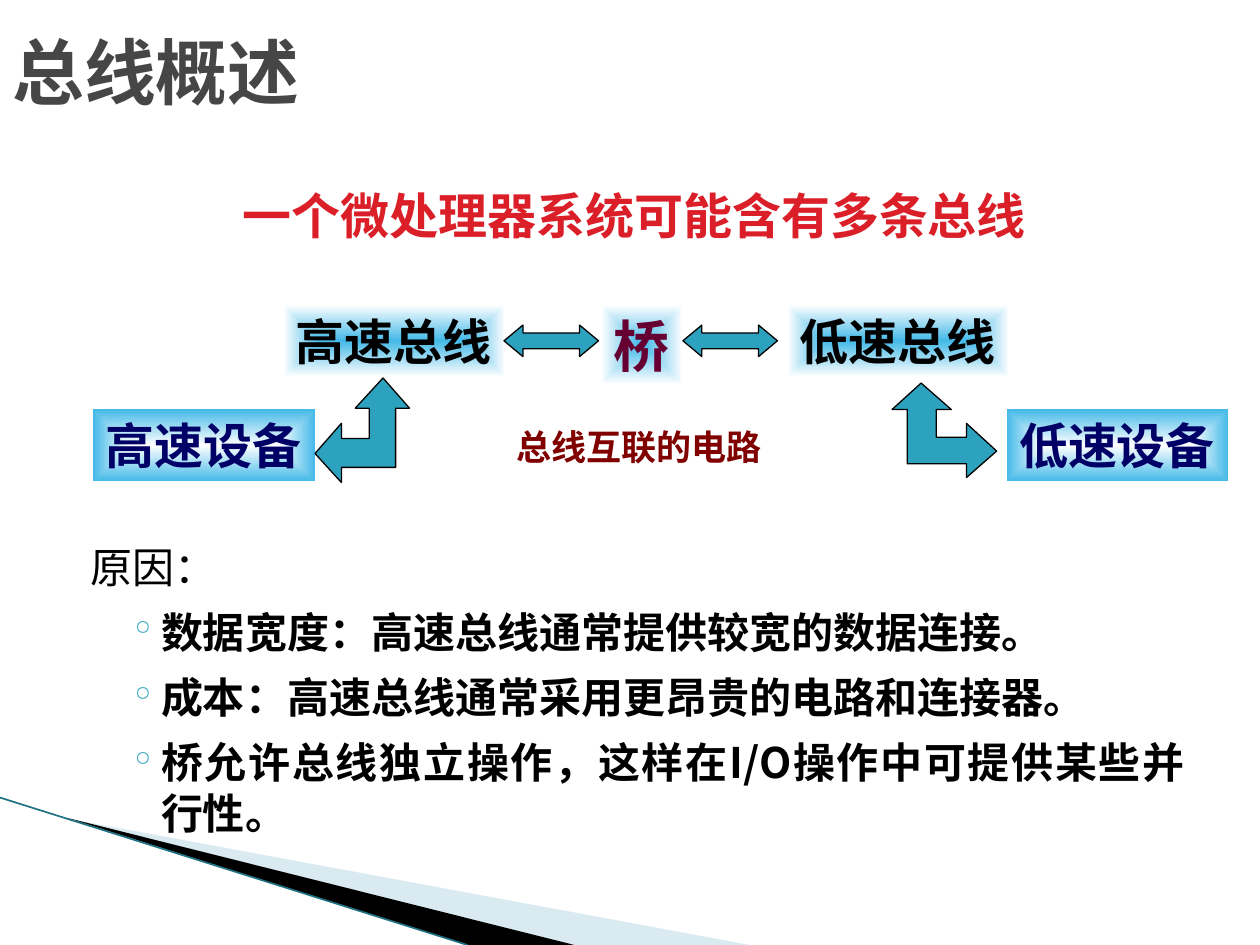
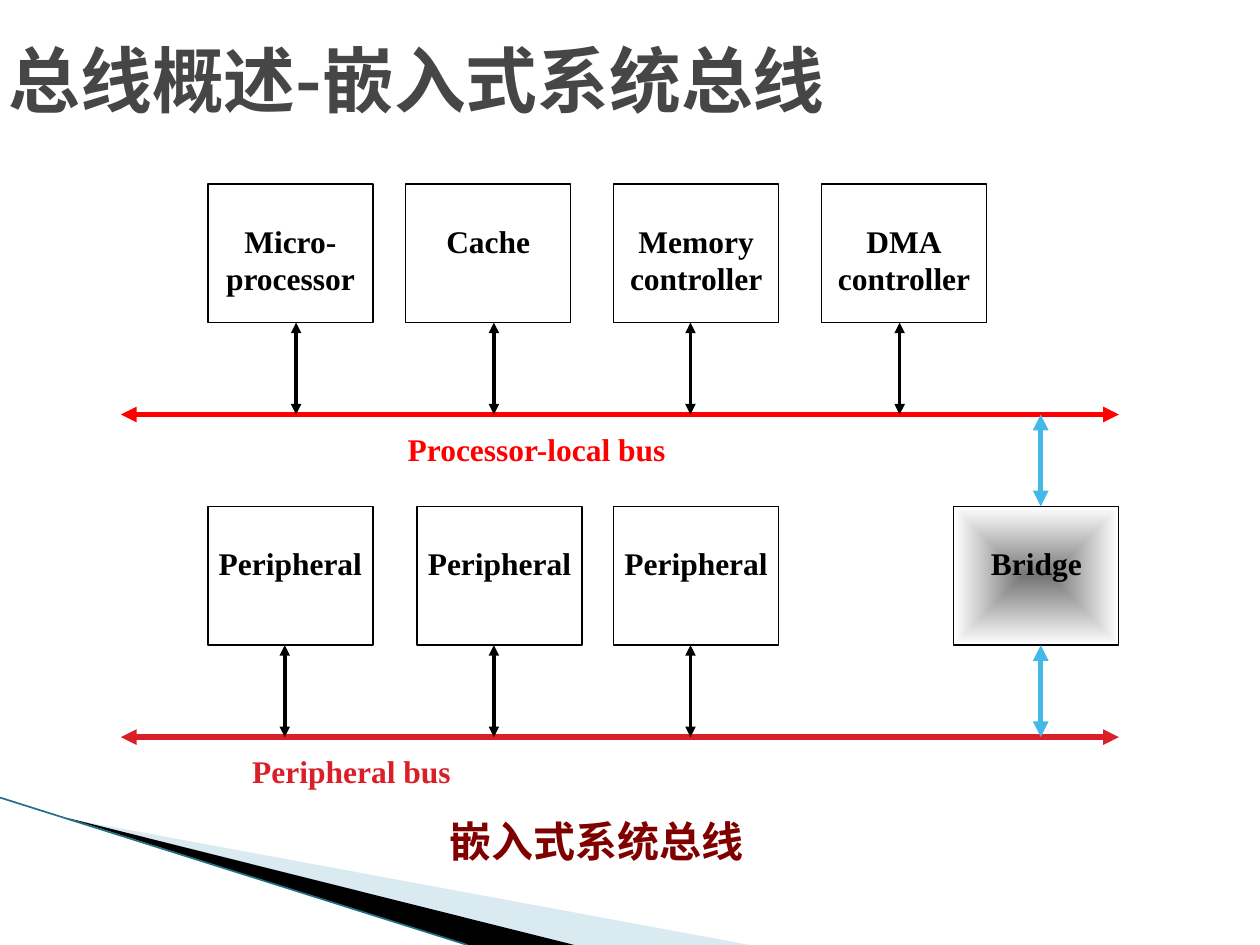
from dataclasses import dataclass

from lxml import etree
from pptx import Presentation
from pptx.dml.color import RGBColor
from pptx.enum.shapes import MSO_CONNECTOR, MSO_SHAPE
from pptx.enum.text import MSO_ANCHOR, PP_ALIGN
from pptx.oxml.ns import qn
from pptx.util import Inches, Pt

LEFT, CENTER, JUSTIFY = PP_ALIGN.LEFT, PP_ALIGN.CENTER, PP_ALIGN.JUSTIFY
TOP, MIDDLE = MSO_ANCHOR.TOP, MSO_ANCHOR.MIDDLE
RECTANGLE, DOUBLE_ARROW = MSO_SHAPE.RECTANGLE, MSO_SHAPE.LEFT_RIGHT_ARROW
STRAIGHT = MSO_CONNECTOR.STRAIGHT

WIDTH, HEIGHT = Inches(10), Inches(7.5)
COLUMN, ROW = WIDTH / 100, HEIGHT / 75
SANS, SERIF = "Noto Sans CJK SC", "Times New Roman"
COLORS = {
    "title": "464646", "black": "000000", "white": "FFFFFF", "navy": "000066",
    "plum": "660033", "maroon": "800000", "crimson": "DA1F28", "red": "FF0000",
    "sky": "44B9E8", "teal": "2DA2BF", "gray": "767676", "mist": "A0CBDC",
    "edge": "1F7184",
}


@dataclass(frozen=True)
class Area:
    left: float
    top: float
    width: float
    height: float

    def lengths(self) -> tuple[int, int, int, int]:
        return (across(self.left), down(self.top),
                across(self.width), down(self.height))


@dataclass(frozen=True)
class Tile:
    text: str
    area: Area
    color: str
    inner: str
    outer: str
    size: int = 28


@dataclass(frozen=True)
class Block:
    text: str
    left: float
    link: float


@dataclass(frozen=True)
class Link:
    start: tuple[float, float]
    end: tuple[float, float]
    color: str
    weight: float


def across(columns: float) -> int:
    return round(columns * COLUMN)


def down(rows: float) -> int:
    return round(rows * ROW)


def rgb(name: str) -> RGBColor:
    return RGBColor.from_string(COLORS[name])


def write(box, text: str, *, size: int, color: str, font: str = SERIF,
          bold: bool = True, align=LEFT, anchor=TOP, wrap: bool = True,
          insets: tuple[float, float, float, float] = (1, 0.5, 1, 0.5)) -> None:
    frame = box.text_frame
    frame.word_wrap = wrap
    frame.vertical_anchor = anchor
    frame.margin_left, frame.margin_right = across(insets[0]), across(insets[2])
    frame.margin_top, frame.margin_bottom = down(insets[1]), down(insets[3])
    for index, line in enumerate(text.split("\n")):
        para = frame.add_paragraph() if index else frame.paragraphs[0]
        para.alignment = align
        add_span(para, line, size=size, color=color, font=font, bold=bold)


def add_span(para, text: str, *, size: int, color: str, font: str, bold: bool) -> None:
    span = para.add_run()
    span.text = text
    span.font.size = Pt(size)
    span.font.bold = bold
    span.font.color.rgb = rgb(color)
    span.font.name = font
    latin = span.font._element.find(qn("a:latin"))
    east_asian = etree.Element(qn("a:ea"), typeface=SANS)
    latin.addnext(east_asian)


def add_text(page, text: str, area: Area, **style) -> None:
    write(page.shapes.add_textbox(*area.lengths()), text, **style)


def paint(shape, fill: str, outline: str | None = None) -> None:
    shape.shadow.inherit = False
    shape.fill.solid()
    shape.fill.fore_color.rgb = rgb(fill)
    if outline:
        shape.line.color.rgb = rgb(outline)
        shape.line.width = Pt(0.75)
    else:
        shape.line.fill.background()


def glow(shape, inner: str, outer: str) -> None:
    shape.fill.gradient()
    for stop, name in zip(shape.fill.gradient_stops, (inner, outer)):
        stop.color.rgb = rgb(name)
    gradient = shape.element.spPr.find(qn("a:gradFill"))
    linear = gradient.find(qn("a:lin"))
    radial = etree.Element(qn("a:path"), path="shape")
    etree.SubElement(radial, qn("a:fillToRect"), l="50000", t="50000",
                     r="50000", b="50000")
    gradient.replace(linear, radial)


def add_outline(page, points: list[tuple[float, float]], fill: str,
                outline: str | None = None):
    corners = [(across(x), down(y)) for x, y in points]
    builder = page.shapes.build_freeform(*corners[0])
    builder.add_line_segments(corners[1:], close=True)
    shape = builder.convert_to_shape()
    paint(shape, fill, outline)
    return shape


def add_line(page, link: Link, arrows: bool = True) -> None:
    line = page.shapes.add_connector(
        STRAIGHT, across(link.start[0]), down(link.start[1]),
        across(link.end[0]), down(link.end[1]))
    line.line.color.rgb = rgb(link.color)
    line.line.width = Pt(link.weight)
    if arrows:
        stroke = line.line._get_or_add_ln()
        for end in ("a:headEnd", "a:tailEnd"):
            etree.SubElement(stroke, qn(end), type="triangle")
    etree.SubElement(line._element.spPr, qn("a:effectLst"))


def add_page(deck, title: str, area: Area):
    page = deck.slides.add_slide(deck.slide_layouts[6])
    wedge = add_outline(page, [(5.5, 65), (59.5, 75), (45.6, 75)], "mist")
    color = wedge.element.spPr.find(qn("a:solidFill")).find(qn("a:srgbClr"))
    etree.SubElement(color, qn("a:alpha"), val="40000")
    add_outline(page, [(5.3, 64.9), (45.6, 75), (37.1, 75)], "black")
    add_line(page, Link((0, 63.3), (37.1, 75), "edge", 0.95), arrows=False)
    add_text(page, title, area, size=41, color="title", font=SANS, anchor=MIDDLE)
    return page


def add_tile(page, tile: Tile) -> None:
    box = page.shapes.add_shape(RECTANGLE, *tile.area.lengths())
    paint(box, tile.outer)
    glow(box, tile.inner, tile.outer)
    write(box, tile.text, size=tile.size, color=tile.color, wrap=False)


def add_elbow_arrow(page, left: float, top: float, rotation: int) -> None:
    outline = [(5.4, 0), (3.2, 2.4), (4.3, 2.4), (4.3, 4.8), (2.1, 4.8), (2.1, 3.6),
               (0, 6), (2.1, 8.3), (2.1, 7.1), (6.4, 7.1), (6.4, 2.4), (7.5, 2.4)]
    arrow = add_outline(page, [(left + x, top + y) for x, y in outline],
                        "teal", "black")
    arrow.rotation = rotation


def set_bullet(para) -> None:
    properties = para._p.get_or_add_pPr()
    color = etree.SubElement(properties, qn("a:buClr"))
    etree.SubElement(color, qn("a:srgbClr"), val=COLORS["teal"])
    etree.SubElement(properties, qn("a:buSzPct"), val="80000")
    etree.SubElement(properties, qn("a:buChar"), char="◦")


def set_indent(para, margin: float, first: float) -> None:
    properties = para._p.get_or_add_pPr()
    properties.set("marL", str(across(margin)))
    properties.set("indent", str(across(first)))


def add_reasons(page, heading: str, reasons: list[str], area: Area) -> None:
    box = page.shapes.add_textbox(*area.lengths())
    write(box, heading, size=24, color="black", font=SANS, bold=False, align=JUSTIFY)
    set_indent(box.text_frame.paragraphs[0], 4, -2.8)
    for reason in reasons:
        para = box.text_frame.add_paragraph()
        set_bullet(para)
        set_indent(para, 6.8, -2.5)
        para.alignment = JUSTIFY
        para.space_before = Pt(8.4)
        add_span(para, reason, size=24, color="black", font=SANS, bold=True)


def add_block(page, text: str, left: float, top: float, inner: str | None = None) -> None:
    box = page.shapes.add_shape(RECTANGLE, *Area(left, top, 13.1, 11).lengths())
    paint(box, "white", "black")
    if inner:
        glow(box, inner, "white")
    write(box, text, size=18, color="black", align=CENTER, insets=(0, 3, 0, 0))


def build_overview(deck) -> None:
    page = add_page(deck, "总线概述", Area(0, 0, 90, 11.2))
    add_reasons(page, "原因：", [
        "数据宽度：高速总线通常提供较宽的数据连接。",
        "成本：高速总线通常采用更昂贵的电路和连接器。",
        "桥允许总线独立操作，这样在I/O操作中可提供某些并行性。",
    ], Area(5, 42.5, 90, 26.7))
    add_text(page, "一个微处理器系统可能含有多条总线", Area(18.3, 14.2, 64.5, 5.7),
             size=28, color="crimson", wrap=False)
    for tile in (
        Tile("高速总线", Area(22.5, 24.2, 17.6, 5.7), "black", "sky", "white"),
        Tile("低速总线", Area(62.5, 24.2, 17.6, 5.7), "black", "sky", "white"),
        Tile("高速设备", Area(7.4, 32.5, 17.6, 5.7), "navy", "white", "sky"),
        Tile("低速设备", Area(79.9, 32.5, 17.6, 5.7), "navy", "white", "sky"),
        Tile("桥", Area(47.7, 24.2, 6.5, 6.3), "plum", "sky", "white", 32),
    ):
        add_tile(page, tile)
    add_text(page, "总线互联的电路", Area(40, 33.3, 21.6, 4.3),
             size=20, color="maroon", wrap=False)
    for left in (40, 54.2):
        arrow = page.shapes.add_shape(DOUBLE_ARROW, *Area(left, 25.8, 7.5, 2.5).lengths())
        arrow.adjustments[0], arrow.adjustments[1] = 0.5, 0.6
        paint(arrow, "teal", "black")
    for left, rotation in ((25, 0), (71.2, 90)):
        add_elbow_arrow(page, left, 30, rotation)


def build_embedded_buses(deck) -> None:
    page = add_page(deck, "总线概述-嵌入式系统总线", Area(-0.3, 0, 90, 12.5))
    block_rows = [
        (14.6, "red", [
            Block("Micro-\nprocessor", 16.5, 23.5), Block("Cache", 32.2, 39.2),
            Block("Memory\ncontroller", 48.7, 54.8),
            Block("DMA\ncontroller", 65.2, 71.4)]),
        (40.2, "crimson", [
            Block("Peripheral", 16.5, 22.6), Block("Peripheral", 33.1, 39.2),
            Block("Peripheral", 48.7, 54.8)]),
    ]
    for top, color, blocks in block_rows:
        bottom, bus = top + 11, top + 18.3
        add_line(page, Link((9.6, bus), (88.8, bus), color, 3))
        for block in blocks:
            add_block(page, block.text, block.left, top)
            add_line(page, Link((block.link, bottom), (block.link, bus), "black", 2))
    add_block(page, "Bridge", 75.7, 40.2, "gray")
    for start, end in ((32.9, 40.2), (51.2, 58.5)):
        add_line(page, Link((82.6, start), (82.6, end), "sky", 3))
    for text, area, color in (
        ("Processor-local bus", Area(18.3, 34.1, 48.6, 4.1), "red"),
        ("Peripheral bus", Area(18.3, 59.7, 19.2, 3.6), "crimson"),
    ):
        add_text(page, text, area, size=18, color=color, align=CENTER,
                 insets=(0, 0, 0, 0))
    add_text(page, "嵌入式系统总线", Area(26.6, 64.2, 41.5, 5.4),
             size=24, color="maroon", align=CENTER)


def main() -> None:
    deck = Presentation()
    deck.slide_width, deck.slide_height = WIDTH, HEIGHT
    build_overview(deck)
    build_embedded_buses(deck)
    deck.save("out.pptx")


if __name__ == "__main__":
    main()
